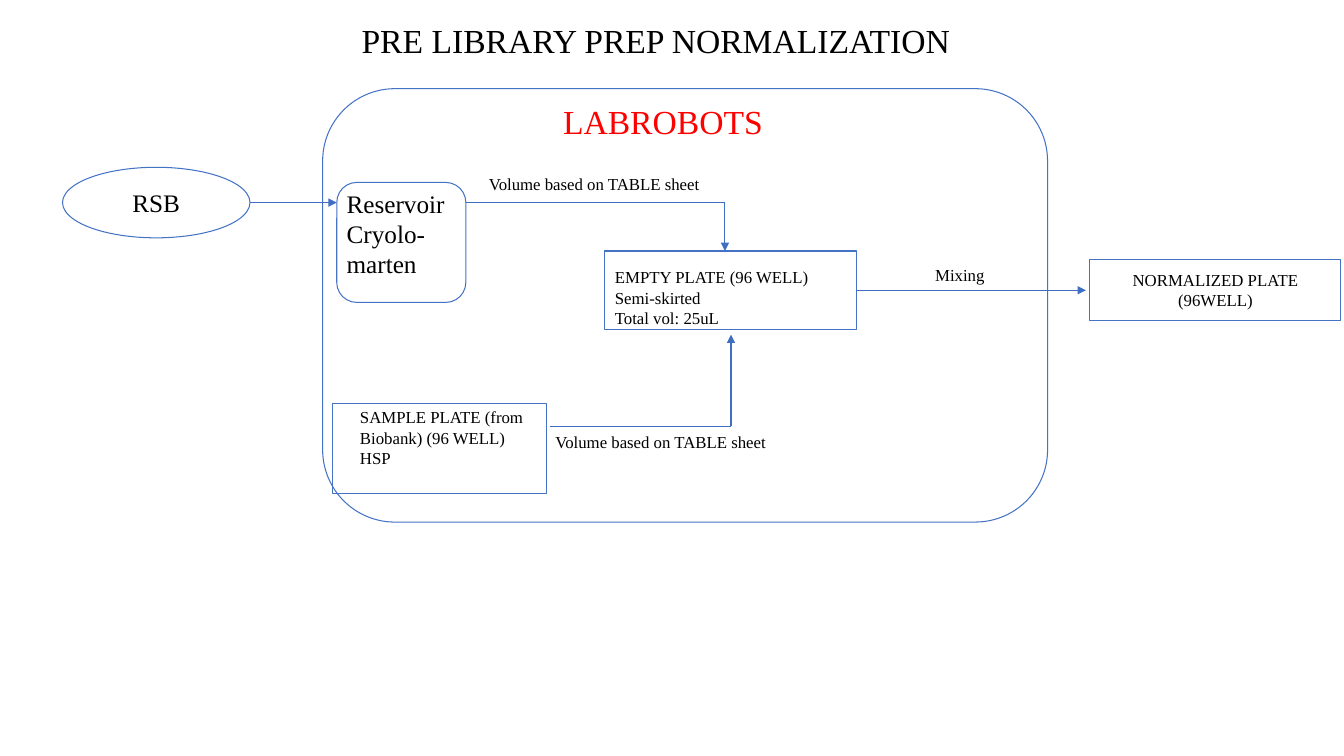
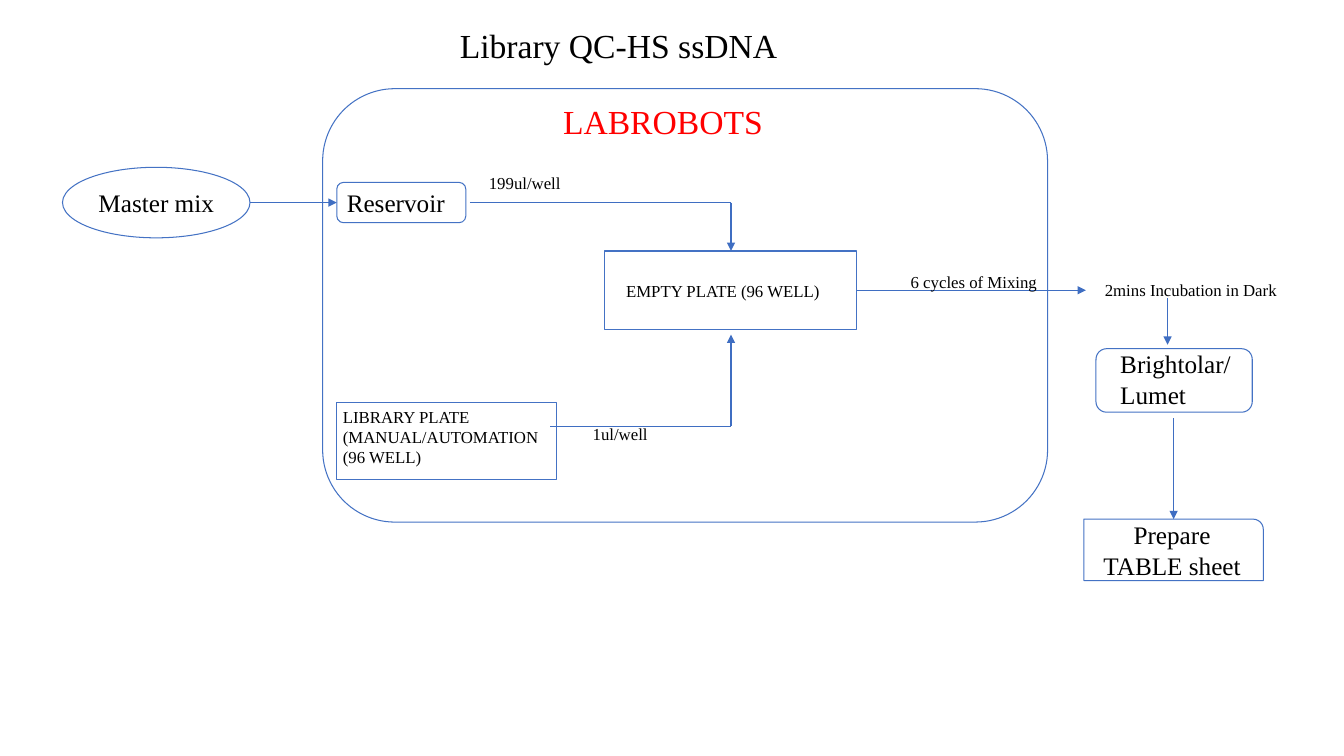
from lxml import etree
from pptx import Presentation
from pptx.dml.color import RGBColor
from pptx.enum.shapes import MSO_CONNECTOR, MSO_SHAPE
from pptx.enum.text import MSO_ANCHOR, MSO_AUTO_SIZE, PP_ALIGN
from pptx.oxml.ns import qn
from pptx.util import Inches, Pt

RECT = MSO_SHAPE.RECTANGLE
ROUNDED = MSO_SHAPE.ROUNDED_RECTANGLE
ONE_ROUND = MSO_SHAPE.ROUND_1_RECTANGLE
OVAL = MSO_SHAPE.OVAL
STRAIGHT = MSO_CONNECTOR.STRAIGHT
LEFT, CENTER = PP_ALIGN.LEFT, PP_ALIGN.CENTER
TOP, MIDDLE = MSO_ANCHOR.TOP, MSO_ANCHOR.MIDDLE

FONT = "Times New Roman"
COLORS = {
    "text": "000000",
    "heading": "FF0000",
    "outline": "4472C4",
    "arrow": "3F6EC2",
}
LINE_WIDTH = Pt(0.75)
PADDING = (0.1, 0.05, 0.1, 0.05)
TITLE_ONLY = 5
SIDE_TOP, SIDE_LEFT, SIDE_RIGHT = 0, 1, 3

# Places used on both slides
FLOW_Y = 2.01
MIX_Y = 2.88
SAMPLE_Y = 4.23
PLATE_X = 7.25
PLATE_BOTTOM = 3.32
MIX_END = 10.77


def color(name):
    return RGBColor.from_string(COLORS[name])


def write(shape, lines, size, align=LEFT, anchor=TOP, padding=PADDING, ink="text"):
    """Fill a shape with one paragraph per line."""
    frame = shape.text_frame
    frame.word_wrap = True
    frame.auto_size = MSO_AUTO_SIZE.NONE
    frame.vertical_anchor = anchor
    (frame.margin_left, frame.margin_top,
     frame.margin_right, frame.margin_bottom) = map(Inches, padding)
    for index, line in enumerate(lines):
        para = frame.add_paragraph() if index else frame.paragraphs[0]
        para.alignment = align
        span = para.add_run()
        span.text = line
        span.font.name = FONT
        span.font.size = Pt(size)
        span.font.color.rgb = color(ink)


def add_box(page, kind, place, lines=(), size=12, **layout):
    """Add an outlined shape without fill, with its text inside."""
    box = page.shapes.add_shape(kind, *map(Inches, place))
    box.shadow.inherit = False
    box.fill.background()
    box.line.color.rgb = color("outline")
    box.line.width = LINE_WIDTH
    write(box, lines, size, **layout)
    return box


def add_label(page, place, text, size=12, **layout):
    label = page.shapes.add_textbox(*map(Inches, place))
    write(label, [text], size, **layout)


def add_arrow(page, points, start=None, end=None):
    """Draw straight segments through the points, with a head on the last.

    start and end are optional (box, side) pairs to join.
    """
    segments = [
        page.shapes.add_connector(STRAIGHT, *map(Inches, first + last))
        for first, last in zip(points, points[1:])
    ]
    for segment in segments:
        segment.line.color.rgb = color("arrow")
        segment.line.width = LINE_WIDTH
        etree.SubElement(segment.element.spPr, qn("a:effectLst"))
    if start:
        segments[0].begin_connect(*start)
    if end:
        segments[-1].end_connect(*end)
    outline = segments[-1].line._get_or_add_ln()
    etree.SubElement(outline, qn("a:tailEnd"), type="triangle")


def add_page(deck, title, place, source):
    """Start a slide with title, robot frame, heading and source ellipse."""
    page = deck.slides.add_slide(deck.slide_layouts[TITLE_ONLY])
    heading = page.shapes.title
    heading.left, heading.top, heading.width, heading.height = map(Inches, place)
    write(heading, [title], 24, align=CENTER)
    add_box(page, ROUNDED, (3.2, 0.88, 7.19, 4.3))
    add_label(page, (5.1, 0.95, 2.95, 0.5), "LABROBOTS", 24,
              align=CENTER, ink="heading")
    add_box(page, OVAL, (0.62, 1.66, 1.86, 0.7), [source], 18,
            align=CENTER, anchor=MIDDLE, padding=(0, 0, 0, 0))
    return page


def add_empty_plate(page, lines, **layout):
    """Add the central plate with its sample and mixing arrows."""
    plate = add_box(page, RECT, (6, 2.49, 2.5, 0.78), lines, **layout)
    add_arrow(page, [(5.46, SAMPLE_Y), (PLATE_X, SAMPLE_Y), (PLATE_X, PLATE_BOTTOM)])
    add_arrow(page, [(8.5, MIX_Y), (MIX_END, MIX_Y)], start=(plate, SIDE_RIGHT))
    return plate


def build_normalization(deck):
    page = add_page(deck, "PRE LIBRARY PREP NORMALIZATION",
                    (3.38, 0.15, 6.25, 0.5), "RSB")
    # Plates and reservoir
    add_box(page, ROUNDED, (3.34, 1.81, 1.28, 1.19),
            ["Reservoir", "Cryolo-", "marten"], 18, padding=(0.04, 0, 0, 0))
    add_empty_plate(page, ["EMPTY PLATE (96 WELL)", "Semi-skirted", "Total vol: 25uL"],
                    padding=(0.1, 0.16, 0.1, 0))
    add_box(page, RECT, (3.3, 4, 2.12, 0.9),
            ["SAMPLE PLATE (from Biobank) (96 WELL)", "HSP"],
            padding=(0.27, 0.04, 0, 0))
    add_box(page, RECT, (10.81, 2.57, 2.49, 0.61), ["NORMALIZED PLATE (96WELL)"],
            align=CENTER, anchor=MIDDLE, padding=(0.36, 0.05, 0.36, 0.05))
    # Flow into the plate
    add_arrow(page, [(2.48, FLOW_Y), (3.34, FLOW_Y)])
    add_arrow(page, [(4.62, FLOW_Y), (7.19, FLOW_Y), (7.19, 2.49)])
    # Labels
    for left, top in ((4.75, 1.67), (5.41, 4.23)):
        add_label(page, (left, top, 2.44, 0.3), "Volume based on TABLE sheet")
    add_label(page, (8.77, 2.58, 1.5, 0.3), "Mixing", align=CENTER)


def build_library_qc(deck):
    page = add_page(deck, "Library QC-HS ssDNA", (3.76, 0.2, 4.75, 0.5), "Master mix")
    # Plates and reservoir
    reservoir = add_box(page, ROUNDED, (3.34, 1.81, 1.28, 0.4), ["Reservoir"], 18,
                        anchor=MIDDLE, padding=(0.08, 0, 0, 0))
    plate = add_empty_plate(page, ["EMPTY PLATE (96 WELL)"],
                            anchor=MIDDLE, padding=(0.21, 0.05, 0.1, 0.05))
    add_box(page, RECT, (3.34, 3.99, 2.18, 0.77),
            ["LIBRARY PLATE (MANUAL/AUTOMATION (96 WELL)"],
            padding=(0.06, 0.04, 0, 0))
    # Flow into the plate
    add_arrow(page, [(2.48, FLOW_Y), (3.34, FLOW_Y)], end=(reservoir, SIDE_LEFT))
    add_arrow(page, [(4.66, FLOW_Y), (PLATE_X, FLOW_Y), (PLATE_X, 2.49)],
              end=(plate, SIDE_TOP))
    # Readout column
    add_box(page, ROUNDED, (10.87, 3.46, 1.55, 0.63), ["Brightolar/ Lumet"], 18,
            anchor=MIDDLE, padding=(0.21, 0, 0, 0.03))
    sheet = add_box(page, ONE_ROUND, (10.75, 5.15, 1.78, 0.61),
                    ["Prepare TABLE sheet"], 18, align=CENTER, anchor=MIDDLE)
    add_arrow(page, [(11.58, 2.96), (11.58, 3.42)])
    add_arrow(page, [(11.64, 4.15), (11.64, 5.15)], end=(sheet, SIDE_TOP))
    # Labels
    add_label(page, (4.75, 1.66, 0.99, 0.3), "199ul/well")
    add_label(page, (5.78, 4.15, 0.99, 0.3), "1ul/well")
    add_label(page, (8.91, 2.65, 1.5, 0.3), "6 cycles of Mixing", align=CENTER)
    add_label(page, (10.86, 2.73, 2.2, 0.3), "2mins Incubation in Dark")


def main():
    deck = Presentation()
    deck.slide_width, deck.slide_height = Inches(13.33), Inches(7.5)
    build_normalization(deck)
    build_library_qc(deck)
    deck.save("out.pptx")


if __name__ == "__main__":
    main()
